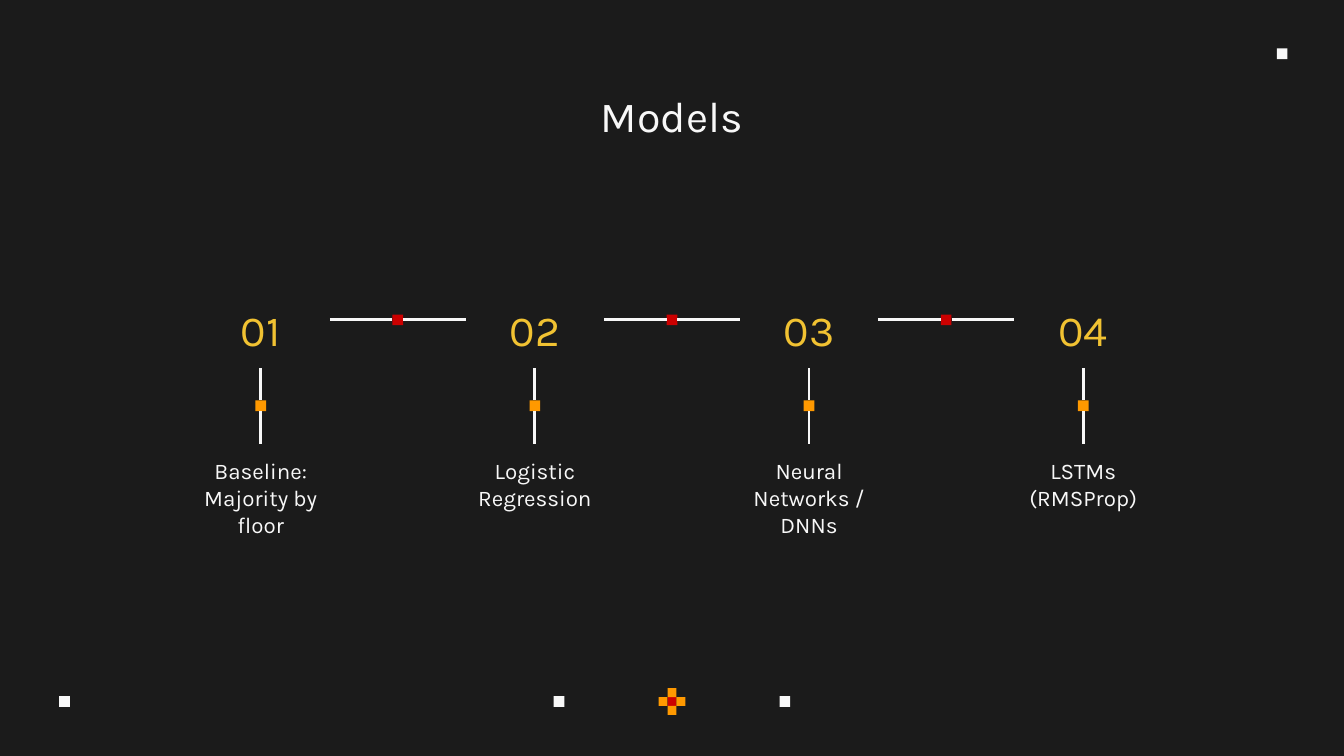
"""Build the Models slide: four numbered steps joined by lines and square markers."""
from lxml.etree import SubElement
from pptx import Presentation
from pptx.dml.color import RGBColor
from pptx.enum.shapes import MSO_CONNECTOR, MSO_SHAPE
from pptx.enum.text import MSO_ANCHOR, PP_ALIGN
from pptx.oxml.ns import qn
from pptx.util import Inches, Pt

DARK = RGBColor(0x1B, 0x1B, 0x1B)
WHITE = RGBColor(0xF8, 0xF8, 0xF8)
RED = RGBColor(0xCC, 0x00, 0x00)
ORANGE = RGBColor(0xFF, 0x99, 0x00)
YELLOW = RGBColor(0xF1, 0xC2, 0x32)

WIDTH = 10
HEIGHT = WIDTH * 9 / 16
MID = WIDTH / 2
PITCH = 2.04
MARK = 0.08
PIXEL = 0.2 / 3
NUMBER_Y, MARK_Y, LABEL_Y, FOOTER_Y = 2.38, 3.02, 3.66, 5.22
STEPS = ["Baseline: Majority by floor", "Logistic Regression",
         "Neural Networks / DNNs", "LSTMs\n(RMSProp)"]

prs = Presentation()
prs.slide_width, prs.slide_height = Inches(WIDTH), Inches(HEIGHT)
s = prs.slides.add_slide(prs.slide_layouts[6])
s.background.fill.solid()
s.background.fill.fore_color.rgb = DARK


def add_square(x, y, color, size=MARK):
    sp = s.shapes.add_shape(MSO_SHAPE.RECTANGLE, Inches(x - size / 2),
                            Inches(y - size / 2), Inches(size), Inches(size))
    sp.shadow.inherit = False
    sp.fill.solid()
    sp.fill.fore_color.rgb = color
    sp.line.fill.background()
    return sp


def add_text(x, y, w, h, text, size, color, anchor=MSO_ANCHOR.TOP):
    sp = s.shapes.add_textbox(Inches(x - w / 2), Inches(y - h / 2), Inches(w), Inches(h))
    tf = sp.text_frame
    tf.word_wrap = True
    tf.vertical_anchor = anchor
    tf.margin_left = tf.margin_right = tf.margin_top = tf.margin_bottom = Inches(0.1)
    tf.text = text
    for p in tf.paragraphs:
        p.alignment = PP_ALIGN.CENTER
        for r in p.runs:
            r.font.name, r.font.size, r.font.color.rgb = "Karla", Pt(size), color
    return sp


for x, y in [(0.48, FOOTER_Y), (MID - 0.84, FOOTER_Y), (MID + 0.84, FOOTER_Y), (9.54, 0.4)]:
    add_square(x, y, WHITE)
for dx, dy in [(0, 0), (0, -1), (-1, 0), (1, 0), (0, 1)]:
    color = ORANGE if dx or dy else RED
    add_square(MID + dx * PIXEL, FOOTER_Y + dy * PIXEL, color, PIXEL)

add_text(MID, 0.82, 8.44, 0.51, "Models", 23, WHITE)

joints = []
previous = None
for i, step in enumerate(STEPS):
    x = MID + (i - (len(STEPS) - 1) / 2) * PITCH
    number = add_text(x, NUMBER_Y, 1.03, 0.72, f"{i + 1:02}", 23, YELLOW, MSO_ANCHOR.BOTTOM)
    label = add_text(x, LABEL_Y, 1.41, 0.72, step, 12, WHITE)
    mark = add_square(x, MARK_Y, ORANGE)
    joints += [(number, 2, mark, 0), (mark, 2, label, 0)]
    if previous is not None:
        link = add_square(x - PITCH / 2, NUMBER_Y, RED)
        joints += [(previous, 3, link, 1), (link, 3, number, 1)]
    previous = number

for start, start_side, end, end_side in joints:
    line = s.shapes.add_connector(MSO_CONNECTOR.STRAIGHT, 0, 0, 0, 0)
    line.begin_connect(start, start_side)
    line.end_connect(end, end_side)
    line.line.color.rgb = WHITE
    line.line.width = Pt(1.5)
    SubElement(line.element.spPr, qn("a:effectLst"))

prs.save("out.pptx")
